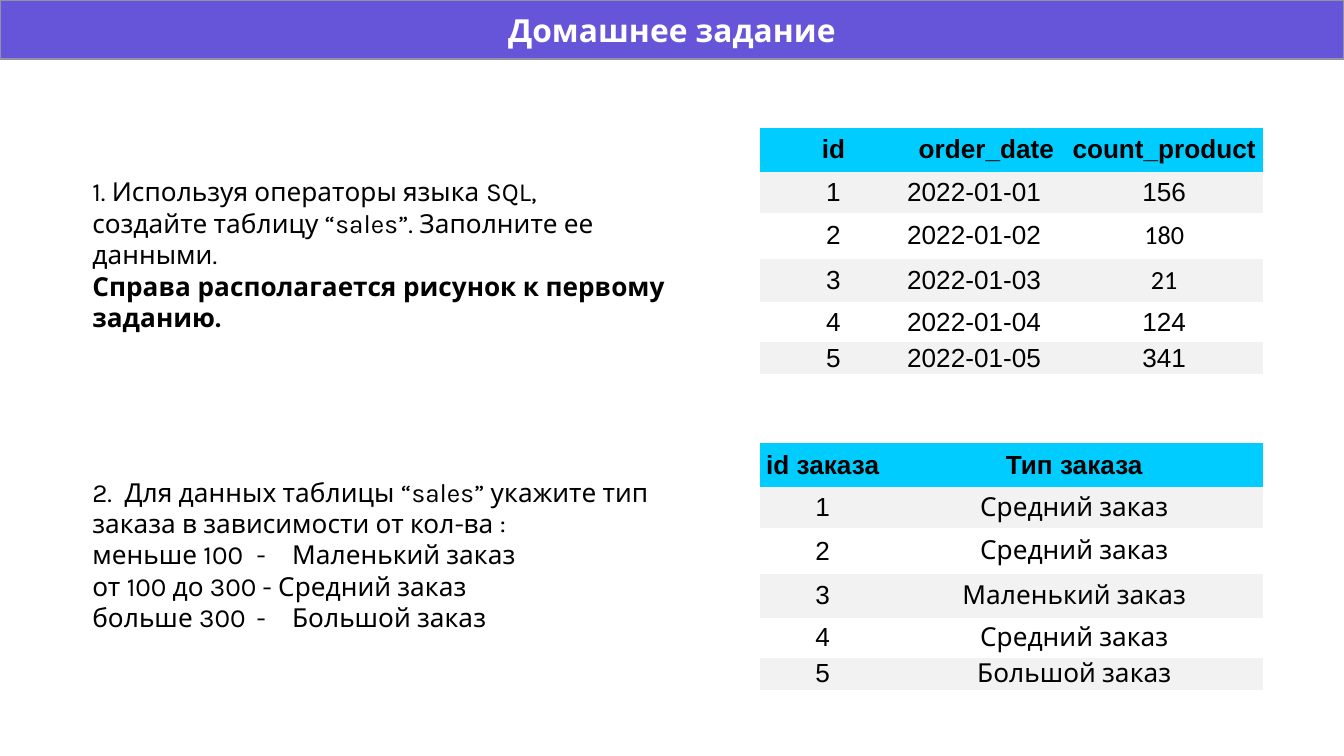
from lxml.etree import SubElement
from pptx import Presentation
from pptx.dml.color import RGBColor
from pptx.enum.text import MSO_ANCHOR, MSO_AUTO_SIZE, PP_ALIGN
from pptx.oxml.ns import qn
from pptx.util import Pt

NO_STYLE = "{2D5ABB26-0587-4C30-8999-92F81FD0307C}"
ROW_HEIGHTS = [23.5, 22, 24.5, 23.5, 21.5, 17]
TAB_STOPS = [88, 107]


def color(value):
    return RGBColor.from_string(value)


def set_font(paragraph, size, name="Karla", bold=False, font_color="000000"):
    paragraph.font.size = Pt(size)
    paragraph.font.name = name
    paragraph.font.bold = bold
    paragraph.font.color.rgb = color(font_color)


presentation = Presentation()
presentation.slide_width = Pt(720)
presentation.slide_height = Pt(405)
slide = presentation.slides.add_slide(presentation.slide_layouts[5])

# Title band
title = slide.shapes.title
title.left, title.top, title.width, title.height = Pt(0), Pt(0), Pt(720), Pt(31.7)
title.fill.solid()
title.fill.fore_color.rgb = color("6654D9")
title.line.color.rgb = color("8F93A3")
title.line.width = Pt(0.75)
title.text_frame.text = "Домашнее задание"
title.text_frame.auto_size = MSO_AUTO_SIZE.NONE
title.text_frame.vertical_anchor = MSO_ANCHOR.MIDDLE
title.text_frame.paragraphs[0].alignment = PP_ALIGN.CENTER
set_font(title.text_frame.paragraphs[0], 17, bold=True, font_color="FFFFFF")

# Tasks: top, width, top margin, lines with their weight
tasks = [
    (87, 352, 7.2, [
        ("1. Используя операторы языка SQL,", False),
        ("создайте таблицу “sales”. Заполните ее данными.", False),
        ("Справа располагается рисунок к первому заданию.", True),
    ]),
    (231, 346, 24, [
        ("2.  Для данных таблицы “sales” укажите тип заказа "
         "в зависимости от кол-ва :", False),
        ("меньше 100\t-\tМаленький заказ", False),
        ("от 100 до 300 - Средний заказ", False),
        ("больше 300\t-\tБольшой заказ", False),
    ]),
]
for top, width, margin_top, lines in tasks:
    box = slide.shapes.add_textbox(Pt(42.4), Pt(top), Pt(width), Pt(116.6))
    frame = box.text_frame
    frame.word_wrap = True
    frame.margin_left = frame.margin_right = frame.margin_bottom = Pt(7.2)
    frame.margin_top = Pt(margin_top)
    frame.text = "\n".join(text for text, bold in lines)
    for paragraph, (text, bold) in zip(frame.paragraphs, lines):
        if "\t" in text:
            tab_list = SubElement(paragraph._p.get_or_add_pPr(), qn("a:tabLst"))
            for stop in TAB_STOPS:
                SubElement(tab_list, qn("a:tab"), pos=str(Pt(stop)), algn="l")
        set_font(paragraph, 14, bold=bold)

# Tables: top, column widths, rows
tables = [
    (68.5, [79, 85, 105.5], [
        ("id", "order_date", "count_product"),
        ("1", "2022-01-01", "156"),
        ("2", "2022-01-02", "180"),
        ("3", "2022-01-03", "21"),
        ("4", "2022-01-04", "124"),
        ("5", "2022-01-05", "341"),
    ]),
    (237.5, [67.5, 202], [
        ("id заказа", "Тип заказа"),
        ("1", "Средний заказ"),
        ("2", "Средний заказ"),
        ("3", "Маленький заказ"),
        ("4", "Средний заказ"),
        ("5", "Большой заказ"),
    ]),
]
for top, column_widths, rows in tables:
    table = slide.shapes.add_table(
        len(rows), len(column_widths), Pt(407), Pt(top),
        Pt(sum(column_widths)), Pt(sum(ROW_HEIGHTS))).table
    table.horz_banding = False
    table._tbl.tblPr.find(qn("a:tableStyleId")).text = NO_STYLE
    for column, width in zip(table.columns, column_widths):
        column.width = Pt(width)
    for row_index, values in enumerate(rows):
        table.rows[row_index].height = Pt(ROW_HEIGHTS[row_index])
        is_header = row_index == 0
        for column_index, value in enumerate(values):
            cell = table.cell(row_index, column_index)
            cell.margin_left = cell.margin_right = Pt(0)
            cell.margin_top = cell.margin_bottom = Pt(0)
            cell.vertical_anchor = MSO_ANCHOR.MIDDLE
            if is_header or row_index % 2:
                cell.fill.solid()
                cell.fill.fore_color.rgb = color("00CCFF" if is_header else "F2F2F2")
            else:
                cell.fill.background()
            cell.text = value
            paragraph = cell.text_frame.paragraphs[0]
            is_date = value.startswith("2022")
            paragraph.alignment = PP_ALIGN.LEFT if is_date else PP_ALIGN.CENTER
            font_name = "Arial"
            if value in ("180", "21"):
                font_name = "Calibri"
            elif value.endswith("заказ"):
                font_name = "Karla"
            set_font(paragraph, 14, font_name, is_header)

presentation.save("out.pptx")
